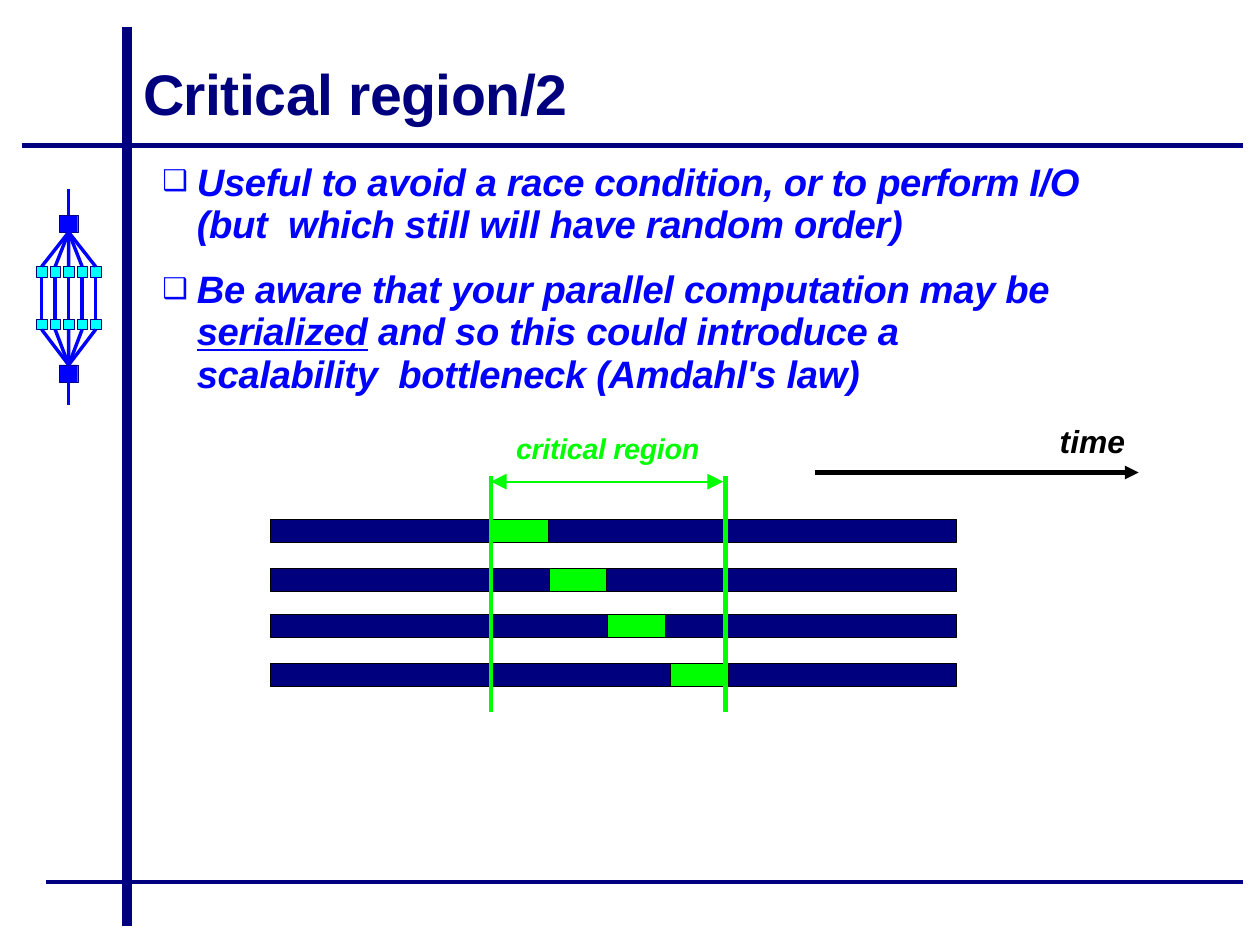
from lxml.etree import SubElement
from pptx import Presentation
from pptx.dml.color import RGBColor
from pptx.enum.shapes import MSO_CONNECTOR, MSO_SHAPE
from pptx.enum.text import MSO_ANCHOR, MSO_AUTO_SIZE, PP_ALIGN
from pptx.oxml.ns import qn
from pptx.util import Inches, Pt

COLUMNS, ROWS = 110.1, 82.6
NAVY, BLUE, CYAN, GREEN, BLACK = "00007F", "0000FF", "00FFFF", "00FF00", "000000"
TOP, BOTTOM = 0, 2

AXIS = 6
WORKER, WORKER_PITCH, WORKER_COUNT = 0.9, 1.18, 5
HUB_WIDTH, HUB_HEIGHT = 1.6, 1.5

BAR_LEFT, BAR_WIDTH, BAR_HEIGHT = 23.6, 60, 2
CRITICAL_WIDTH = 5
CRITICAL_LEFT, CRITICAL_RIGHT = 42.9, 63.4
THREADS = [(45.4, 42.9), (49.7, 48), (53.7, 53.1), (58, 58.6)]

ADVICE = [
    "Useful to avoid a race condition, or to perform I/O\n"
    "(but  which still will have random order)",
    "Be aware that your parallel computation may be\n"
    "serialized and so this could introduce a\n"
    "scalability  bottleneck (Amdahl's law)",
]


def cells(count):
    """Turn a number of grid cells into a length."""
    return Inches(count / 10)


def paint(color_format, hex_color):
    """Set a solid colour from a hex string."""
    color_format.rgb = RGBColor.from_string(hex_color)


def write_text(shape, paragraphs, size, color, italic=True, spacing=-0.2, top=0.1,
               before=(1,), leading=None, bullet=None, underlined=None, wrap=False):
    """Fill a shape with formatted paragraphs, one per string."""
    frame = shape.text_frame
    frame.word_wrap, frame.auto_size = wrap, MSO_AUTO_SIZE.NONE
    frame.vertical_anchor = MSO_ANCHOR.TOP
    frame.margin_left = frame.margin_right = frame.margin_bottom = 0
    frame.margin_top = cells(top)
    for index, (content, gap) in enumerate(zip(paragraphs, before)):
        paragraph = frame.add_paragraph() if index else frame.paragraphs[0]
        paragraph.alignment = PP_ALIGN.LEFT
        paragraph.space_before = Pt(gap)
        if leading:
            paragraph.line_spacing = Pt(leading)
        if bullet:
            add_bullet(paragraph, bullet)
        for number, line in enumerate(content.split("\n")):
            if number:
                paragraph.add_line_break()
            parts = line.partition(underlined) if underlined else [line]
            for part in filter(None, parts):
                run = paragraph.add_run()
                run.text = part
                font = run.font
                font.name, font.size = "Arial", Pt(size)
                font.bold, font.italic = True, italic
                font.underline = part == underlined
                paint(font.color, color)
                run._r.get_or_add_rPr().set("spc", str(round(spacing * 100)))


def add_bullet(paragraph, character):
    """Give a paragraph a hanging bullet."""
    properties = paragraph._p.get_or_add_pPr()
    properties.set("marL", str(cells(3.1)))
    properties.set("indent", str(-cells(3)))
    SubElement(properties, qn("a:buSzPct"), val="75000")
    SubElement(properties, qn("a:buChar"), char=character)


def place(shape, left, top, width, height):
    """Move a placeholder to its cells on the grid."""
    shape.left, shape.top = cells(left), cells(top)
    shape.width, shape.height = cells(width), cells(height)


def add_label(slide, content, left, top, width, height, **text_format):
    """Add a one-line label."""
    label = slide.shapes.add_textbox(*map(cells, (left, top, width, height)))
    write_text(label, [content], **text_format)


def add_box(slide, left, top, width, height, fill, outline):
    """Add a filled rectangle with a hairline outline."""
    box = slide.shapes.add_shape(
        MSO_SHAPE.RECTANGLE, *map(cells, (left, top, width, height)))
    box.shadow.inherit = False
    box.fill.solid()
    paint(box.fill.fore_color, fill)
    paint(box.line.color, outline)
    box.line.width = Pt(0.25)
    return box


def add_line(slide, start, end, color, width, heads=(), head_size="med"):
    """Add a line between two grid points or (box, side) pairs."""
    joins = [point if hasattr(point[0], "shape_id") else None for point in (start, end)]
    corners = [(0, 0) if join else point for join, point in zip(joins, (start, end))]
    line = slide.shapes.add_connector(
        MSO_CONNECTOR.STRAIGHT, *(cells(value) for corner in corners for value in corner))
    if joins[0]:
        line.begin_connect(*joins[0])
    if joins[1]:
        line.end_connect(*joins[1])
    paint(line.line.color, color)
    line.line.width = Pt(width)
    properties = line._element.spPr
    for head in heads:
        SubElement(properties.find(qn("a:ln")), qn(f"a:{head}"),
                   type="triangle", w=head_size, len=head_size)
    SubElement(properties, qn("a:effectLst"))


def add_frame_rules(slide):
    """Draw the rules that frame the slide."""
    add_line(slide, (11.1, 2.4), (11.1, 80.9), NAVY, 5.75)
    add_line(slide, (4, 77.1), (108.6, 77.1), NAVY, 2.15)
    add_line(slide, (1.9, 12.7), (108.6, 12.7), NAVY, 2.89)


def add_fork_join(slide):
    """Draw the fork and join emblem in the left margin."""
    fork, join = [
        add_box(slide, AXIS - HUB_WIDTH / 2, top, HUB_WIDTH, HUB_HEIGHT, BLUE, NAVY)
        for top in (18.8, 31.9)]
    add_line(slide, (AXIS, 16.5), (fork, TOP), BLUE, 2.15)
    add_line(slide, (join, BOTTOM), (AXIS, 35.4), BLUE, 2.15)
    for index in range(WORKER_COUNT):
        center = AXIS + (index - WORKER_COUNT // 2) * WORKER_PITCH
        first, last = [
            add_box(slide, center - WORKER / 2, top, WORKER, WORKER, CYAN, NAVY)
            for top in (23.3, 27.9)]
        for upper, lower in ((fork, first), (first, last), (last, join)):
            add_line(slide, (upper, BOTTOM), (lower, TOP), BLUE, 2.15)


def add_timeline(slide):
    """Draw the threads and their turns in the critical region."""
    for top, turn in THREADS:
        add_box(slide, BAR_LEFT, top, BAR_WIDTH, BAR_HEIGHT, NAVY, BLACK)
        add_box(slide, turn, top, CRITICAL_WIDTH, BAR_HEIGHT, GREEN, BLACK)
    for edge in (CRITICAL_LEFT, CRITICAL_RIGHT):
        add_line(slide, (edge, 41.6), (edge, 62.2), GREEN, 2.89)
    add_line(slide, (CRITICAL_LEFT, 42.1), (CRITICAL_RIGHT - 0.2, 42.1), GREEN, 1.4,
             heads=("headEnd", "tailEnd"), head_size="lg")
    add_label(slide, "critical region", 45.1, 37.6, 16.3, 3.3, size=18, color=GREEN)
    add_line(slide, (71.2, 41.3), (99.5, 41.3), BLACK, 2.9, heads=("tailEnd",))
    add_label(slide, "time", 92.6, 36.8, 6, 3.6, size=20, color=BLACK, spacing=0)


def main():
    """Build and save the slide."""
    presentation = Presentation()
    presentation.slide_width, presentation.slide_height = cells(COLUMNS), cells(ROWS)
    slide = presentation.slides.add_slide(presentation.slide_layouts[1])
    title, advice = slide.placeholders
    add_frame_rules(slide)
    add_fork_join(slide)
    place(title, 12.5, 5, 37.4, 6.3)
    write_text(title, ["Critical region/2"], size=36, color=NAVY, italic=False, spacing=-0.3)
    place(advice, 14.1, 13.6, 87.1, 21.1)
    write_text(advice, ADVICE, size=24, color=BLUE, top=0.5, before=(3.6, 14.2),
               leading=26.7, bullet="❑", underlined="serialized", wrap=True)
    add_timeline(slide)
    presentation.save("out.pptx")


if __name__ == "__main__":
    main()
